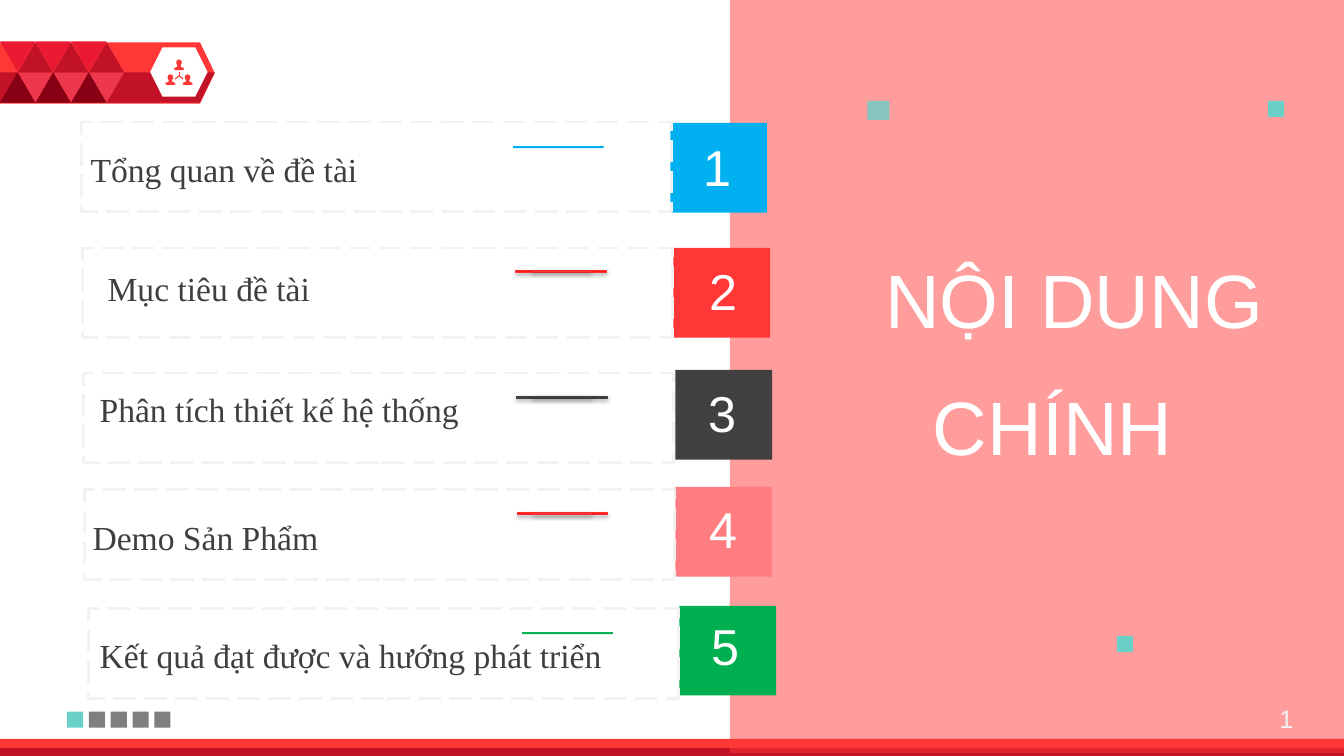
import lxml.etree
import pptx
import pptx.dml.color
import pptx.enum.dml
import pptx.enum.shapes
import pptx.enum.text
import pptx.oxml.ns
import pptx.util

Pt = pptx.util.Pt
RGB = pptx.dml.color.RGBColor
Kind = pptx.enum.shapes.MSO_SHAPE
Align = pptx.enum.text.PP_ALIGN
qn = pptx.oxml.ns.qn

WHITE = RGB(0xFF, 0xFF, 0xFF)
PALE = RGB(0xF2, 0xF2, 0xF2)
RED = RGB(0xFF, 0x37, 0x37)
DEEP = RGB(0xC2, 0x12, 0x27)
CRIMSON = RGB(0xEB, 0x19, 0x32)
ROSE = RGB(0xED, 0x37, 0x4D)
MAROON = RGB(0x88, 0x00, 0x14)
BRIGHT = RGB(0xFF, 0x18, 0x18)
EDGE = RGB(0xFD, 0x30, 0x30)
PINK = RGB(0xFF, 0x7C, 0x80)
BLUE = RGB(0x00, 0xB0, 0xF0)
GREEN = RGB(0x00, 0xB0, 0x50)
TEAL = RGB(0x68, 0xD0, 0xC6)
GRAY = RGB(0x7F, 0x7F, 0x7F)
COAL = RGB(0x41, 0x41, 0x41)
INK = RGB(0x3F, 0x3F, 0x3F)


def write(frame, words, size=24, font="Arial", color=WHITE, align=Align.LEFT):
    frame.word_wrap = True
    frame.auto_size = pptx.enum.text.MSO_AUTO_SIZE.SHAPE_TO_FIT_TEXT
    para = frame.paragraphs[0]
    para.alignment = align
    run = para.add_run()
    run.text = words
    run.font.size = Pt(size)
    run.font.name = font
    run.font.color.rgb = color


class Deck:
    def __init__(self, slide):
        self.shapes = slide.shapes
        self.font = "Arial"
        self.serif = "Times New Roman"

    def style(self, shape, fill=None, line=None, width=0.75, alpha=None):
        shape.shadow.inherit = False
        if fill is None:
            shape.fill.background()
        else:
            shape.fill.solid()
            shape.fill.fore_color.rgb = fill
        if alpha:
            tone = shape.fill._xPr.find(qn("a:solidFill"))[0]
            lxml.etree.SubElement(tone, qn("a:alpha"), val=str(alpha * 1000))
        if line is None:
            shape.line.fill.background()
        else:
            shape.line.color.rgb = line
            shape.line.width = Pt(width)
        return shape

    def shape(self, x, y, w, h, fill=None, kind=Kind.RECTANGLE, turn=0, adjust=None, **look):
        item = self.shapes.add_shape(kind, Pt(x), Pt(y), Pt(w), Pt(h))
        item.rotation = turn
        if adjust:
            item.adjustments[0] = adjust
        return self.style(item, fill, **look)

    def outline(self, points, fill):
        start, *rest = [(Pt(x), Pt(y)) for x, y in points]
        pen = self.shapes.build_freeform(*start)
        pen.add_line_segments(rest, close=True)
        return self.style(pen.convert_to_shape(), fill)

    def text(self, x, y, w, h, words, **look):
        box = self.shapes.add_textbox(Pt(x), Pt(y), Pt(w), Pt(h))
        write(box.text_frame, words, **look)

    def person(self, x, y):
        half = [(0, 0), (1.5, 0.6), (2, 2.2), (1.7, 3.4), (1, 4.4),
                (1.6, 5.5), (3.2, 6), (3.7, 7.2), (2, 7.6), (0, 7.7)]
        left = [(-a, b) for a, b in half[-2:0:-1]]
        self.outline([(x + a, y + b) for a, b in half + left], RED)

    def spoke(self, x, y):
        line = self.shapes.add_connector(
            pptx.enum.shapes.MSO_CONNECTOR.STRAIGHT, Pt(127.9), Pt(54.2), Pt(x), Pt(y))
        line.line.color.rgb = RED
        line.line.width = Pt(0.75)
        lxml.etree.SubElement(line._element.spPr, qn("a:effectLst"))

    def bar(self, x, y, fill, edge):
        for w, h in ((64.8, 1.4), (41.8, 0.7)):
            item = self.shape(x - w / 2, y - h / 2, w, h, fill, line=edge)
            if edge:
                effect = item._element.spPr.find(qn("a:effectLst"))
                cast = lxml.etree.SubElement(
                    effect, qn("a:outerShdw"), blurRad=str(Pt(3.1)),
                    dist=str(Pt(1.8)), dir="5400000", rotWithShape="0")
                tone = lxml.etree.SubElement(cast, qn("a:srgbClr"), val="000000")
                lxml.etree.SubElement(tone, qn("a:alpha"), val="35000")

    def badge(self):
        self.shape(0, 30.2, 153.4, 43.9, RED, Kind.PENTAGON, adjust=0.24)
        self.outline([(0, 51.8), (153.4, 51.8), (142.6, 73.4), (0, 73.4)], DEEP)
        self.shape(107.3, 33.8, 41, 35.3, WHITE, Kind.HEXAGON, adjust=0.25)
        for x, y in ((127.9, 42.5), (121.7, 53.1), (134, 53.1)):
            self.person(x, y)
        for x, y in ((127.9, 51.1), (124.9, 56.5), (130.9, 56.5)):
            self.spoke(x, y)
        tiles = ((0, 29.5, 180, CRIMSON), (12.7, 30.2, 0, DEEP),
                 (12.7, 51.8, 180, ROSE), (0, 51.8, 0, MAROON))
        for col in range(3):
            for x, y, turn, fill in tiles:
                self.shape(x + 25.4 * col, y, 25.2, 21.6, fill,
                           Kind.ISOSCELES_TRIANGLE, turn)

    def row(self, num, words, fill, tint, edge, box, digit, label, bar, frame):
        self.shape(*box, 69.1, 64.1, fill)
        self.text(*digit, 50.4, 51, str(num), size=36, font=self.font, align=Align.CENTER)
        self.text(*label, 382.3, 36, words, font=self.serif, color=INK)
        self.bar(*bar, tint, edge)
        item = self.shape(*frame, 421.2, 64.1, line=PALE, width=2)
        item.line.dash_style = pptx.enum.dml.MSO_LINE.LONG_DASH


ROWS = [
    ("Tổng quan về đề tài", BLUE, BLUE, None,
     (478.8, 87.8), (487.4, 93.6), (57.6, 103), (398.9, 105.1), (58.3, 87.1)),
    ("Mục tiêu đề tài", RED, BRIGHT, EDGE,
     (481, 177.1), (491.8, 182.2), (69.8, 187.9), (401, 193.7), (59, 177.1)),
    ("Phân tích thiết kế hệ thống", COAL, INK, INK,
     (482.4, 264.2), (491, 269.3), (64.1, 274.3), (401.5, 283.7), (59.8, 266.4)),
    ("Demo Sản Phẩm", PINK, BRIGHT, EDGE,
     (482.4, 347.8), (491.8, 352.1), (59, 365.8), (401.8, 366.8), (60.5, 349.9)),
    ("Kết quả đạt được và hướng phát triển", GREEN, GREEN, None,
     (485.3, 432.7), (493.2, 435.6), (64.1, 450), (405.4, 452.2), (63.4, 434.9)),
]


def main():
    show = pptx.Presentation()
    show.slide_width, show.slide_height = Pt(960), Pt(540)
    deck = Deck(show.slides.add_slide(show.slide_layouts[6]))
    deck.badge()
    deck.shape(0, 527.8, 960, 11.5, RED)
    deck.shape(0, 534.2, 960, 5.8, DEEP)
    deck.shape(521.3, -2.2, 438.7, 540, RED, alpha=49)
    for x, y, words in ((429.1, 177.1, "NỘI DUNG"), (364.3, 267.8, "CHÍNH")):
        deck.text(x, y, 480.2, 72.7, words, size=54, align=Align.RIGHT)
    deck.shape(619.5, 72, 15.8, 13.7, TEAL, alpha=80)
    for x, y in ((797.8, 454.3), (905.8, 72)):
        deck.shape(x, y, 11.5, 11.5, TEAL)
    for step in range(5):
        deck.shape(47.9 + 15.6 * step, 508.3, 11.5, 11.5, GRAY if step else TEAL)
    deck.text(888.5, 499, 42.5, 28.8, "1", size=18, color=PALE, align=Align.RIGHT)
    for num, row in enumerate(ROWS, 1):
        deck.row(num, *row)
    show.save("out.pptx")


if __name__ == "__main__":
    main()
